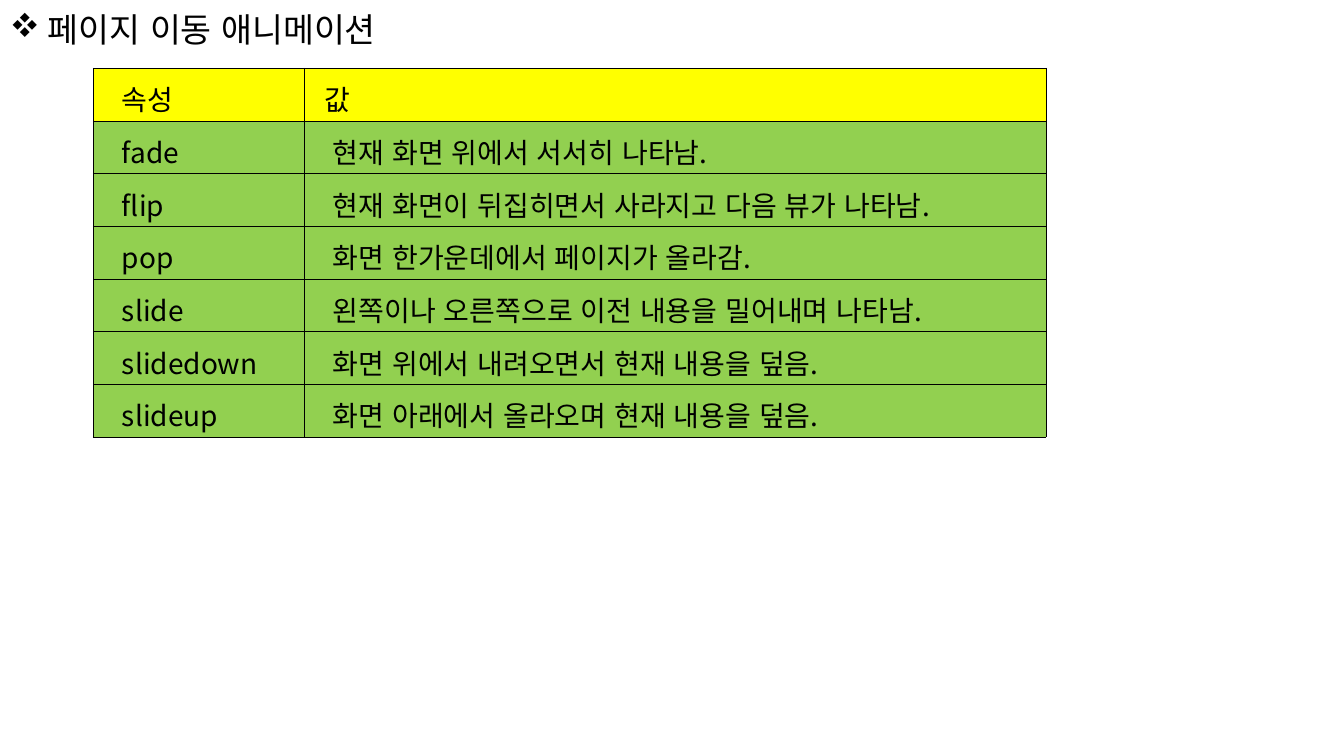
import lxml.etree
import pptx
import pptx.dml.color
import pptx.enum.lang
import pptx.enum.text
import pptx.oxml.ns
import pptx.util

EMU_PER_PX = 914400 / 100.8
FONT = "Noto Sans CJK KR"
BULLET_FONT = "Wingdings"
DIAMOND_BULLET = "v"  # the Wingdings code of ❖
COLORS = {"ink": "000000", "header": "FFFF00", "body": "92D050"}
BORDER_PT = 0.28
COLUMN_WIDTHS = [211, 742]
TABLE_HEIGHT = 369
HEADER = ("속성", "값")
TRANSITIONS = [
    ("fade", "현재 화면 위에서 서서히 나타남."),
    ("flip", "현재 화면이 뒤집히면서 사라지고 다음 뷰가 나타남."),
    ("pop", "화면 한가운데에서 페이지가 올라감."),
    ("slide", "왼쪽이나 오른쪽으로 이전 내용을 밀어내며 나타남."),
    ("slidedown", "화면 위에서 내려오면서 현재 내용을 덮음."),
    ("slideup", "화면 아래에서 올라오며 현재 내용을 덮음."),
]


def px(length):
    return pptx.util.Emu(round(length * EMU_PER_PX))


def rgb(name):
    return pptx.dml.color.RGBColor.from_string(COLORS[name])


def add_xml(parent, tag, **attributes):
    child = lxml.etree.SubElement(parent, pptx.oxml.ns.qn(tag))
    for key, value in attributes.items():
        child.set(key, str(value))
    return child


def write_text(frame, text, *, size, spacing, align, margin=0, indent=0, bullet=None):
    """Fill the frame's first paragraph; margin and indent are in px."""
    frame.word_wrap = True
    paragraph = frame.paragraphs[0]
    paragraph.alignment = align
    paragraph.line_spacing = spacing
    properties = paragraph._p.get_or_add_pPr()
    properties.set("marL", str(px(margin)))
    properties.set("indent", str(px(indent)))
    if bullet:
        add_xml(properties, "a:buFont", typeface=BULLET_FONT, charset=2)
        add_xml(properties, "a:buChar", char=bullet)
    run = paragraph.add_run()
    run.text = text
    run.font.size = pptx.util.Pt(size)
    run.font.name = FONT
    run.font.color.rgb = rgb("ink")
    run.font.language_id = pptx.enum.lang.MSO_LANGUAGE_ID.KOREAN
    add_xml(run._r.get_or_add_rPr(), "a:ea", typeface=FONT)


def add_title(slide, text):
    title = slide.shapes.add_textbox(px(0), px(0), px(446), px(63))
    title.text_frame.vertical_anchor = pptx.enum.text.MSO_ANCHOR.MIDDLE
    write_text(title.text_frame, text, size=24, spacing=0.9,
               align=pptx.enum.text.PP_ALIGN.LEFT,
               margin=38, indent=-38, bullet=DIAMOND_BULLET)


def add_borders(cell):
    properties = cell._tc.get_or_add_tcPr()
    for side in "LRTB":
        line = add_xml(properties, f"a:ln{side}", w=pptx.util.Pt(BORDER_PT))
        fill = add_xml(line, "a:solidFill")
        add_xml(fill, "a:srgbClr", val=COLORS["ink"])


def fill_cell(cell, text, *, color, indent):
    cell.margin_left = cell.margin_right = px(7)
    cell.margin_top = cell.margin_bottom = px(2)
    cell.vertical_anchor = pptx.enum.text.MSO_ANCHOR.MIDDLE
    add_borders(cell)
    cell.fill.solid()
    cell.fill.fore_color.rgb = rgb(color)
    write_text(cell.text_frame, text, size=20, spacing=1.2,
               align=pptx.enum.text.PP_ALIGN.JUSTIFY, indent=indent)


def add_transition_table(slide):
    rows = [HEADER, *TRANSITIONS]
    table = slide.shapes.add_table(
        len(rows), len(HEADER), px(93), px(68),
        px(sum(COLUMN_WIDTHS)), px(TABLE_HEIGHT)).table
    table.horz_banding = False
    table.first_row = False
    for column, width in zip(table.columns, COLUMN_WIDTHS):
        column.width = px(width)
    for row_index, texts in enumerate(rows):
        table.rows[row_index].height = px(TABLE_HEIGHT / len(rows))
        for column_index, text in enumerate(texts):
            fill_cell(table.cell(row_index, column_index), text,
                      color="body" if row_index else "header",
                      indent=14 if text == HEADER[1] else 22)


def main():
    presentation = pptx.Presentation()
    presentation.slide_width = px(1344)
    presentation.slide_height = px(756)
    slide = presentation.slides.add_slide(presentation.slide_layouts[6])
    add_title(slide, "페이지 이동 애니메이션")
    add_transition_table(slide)
    presentation.save("out.pptx")


if __name__ == "__main__":
    main()
